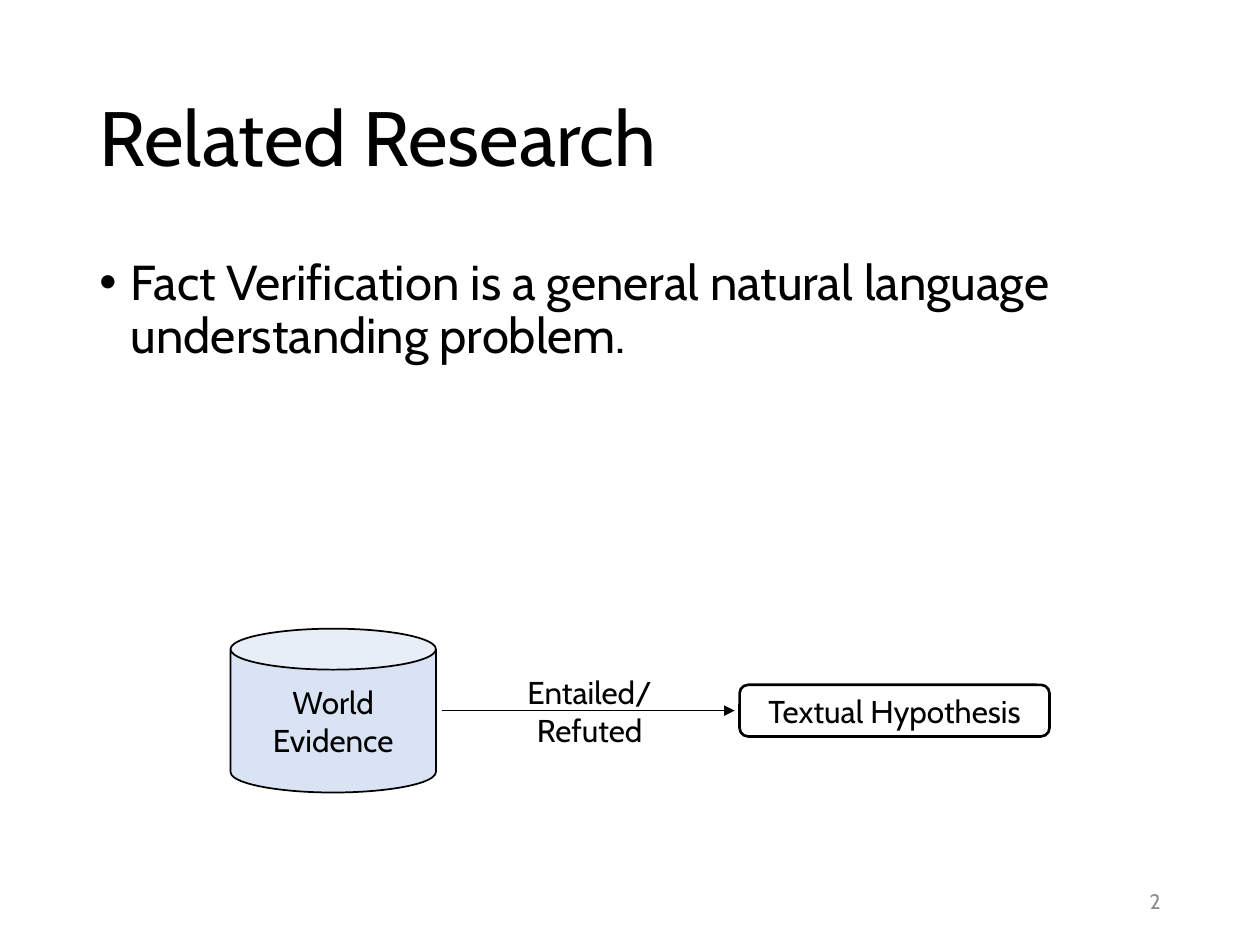
from lxml.etree import SubElement
from pptx import Presentation
from pptx.dml.color import RGBColor
from pptx.enum.shapes import MSO_CONNECTOR, MSO_SHAPE
from pptx.enum.text import MSO_ANCHOR, MSO_AUTO_SIZE, PP_ALIGN
from pptx.oxml.ns import qn
from pptx.util import Inches, Pt

FONT = "Cabin"
COLORS = {"ink": "000000", "evidence": "DAE3F3", "number": "8C8C8C"}


def color(name):
    return RGBColor.from_string(COLORS[name])


def add_bullet(paragraph, indent):
    properties = paragraph._p.get_or_add_pPr()
    properties.set("marL", str(indent))
    properties.set("indent", str(-indent))
    SubElement(properties, qn("a:buFont"), typeface="Arial")
    SubElement(properties, qn("a:buChar"), char="•")


def write_text(shape, text, size=18, ink="ink", align=PP_ALIGN.CENTER,
               anchor=MSO_ANCHOR.MIDDLE, line_spacing=None, bullet=False):
    """Write one paragraph for each line of text."""
    frame = shape.text_frame
    frame.word_wrap = True
    frame.auto_size = MSO_AUTO_SIZE.NONE
    frame.vertical_anchor = anchor
    frame.text = text
    for paragraph in frame.paragraphs:
        paragraph.alignment = align
        if line_spacing:
            paragraph.line_spacing = line_spacing
        if bullet:
            add_bullet(paragraph, Inches(0.25))
        for run in paragraph.runs:
            run.font.name = FONT
            run.font.size = Pt(size)
            run.font.color.rgb = color(ink)


def add_title(slide, text, left, top, width, height):
    title = slide.shapes.title
    title.left, title.top = Inches(left), Inches(top)
    title.width, title.height = Inches(width), Inches(height)
    write_text(title, text, size=44, align=PP_ALIGN.LEFT, line_spacing=0.9)


def add_text(slide, text, left, top, width, height, **text_format):
    box = slide.shapes.add_textbox(
        Inches(left), Inches(top), Inches(width), Inches(height))
    write_text(box, text, **text_format)


def add_node(slide, kind, text, left, top, width, height, line_width, fill=None):
    node = slide.shapes.add_shape(
        kind, Inches(left), Inches(top), Inches(width), Inches(height))
    node.shadow.inherit = False
    if fill:
        node.fill.solid()
        node.fill.fore_color.rgb = color(fill)
    else:
        node.fill.background()
    node.line.color.rgb = color("ink")
    node.line.width = Pt(line_width)
    write_text(node, text)


def add_arrow(slide, start, end, y):
    arrow = slide.shapes.add_connector(
        MSO_CONNECTOR.STRAIGHT, Inches(start), Inches(y), Inches(end), Inches(y))
    arrow.line.color.rgb = color("ink")
    arrow.line.width = Pt(0.5)
    SubElement(arrow.line._get_or_add_ln(), qn("a:tailEnd"), type="triangle")
    SubElement(arrow._element.spPr, qn("a:effectLst"))


def main():
    presentation = Presentation()
    presentation.slide_width = Inches(10)
    presentation.slide_height = Inches(7.5)
    slide = presentation.slides.add_slide(presentation.slide_layouts[5])

    # Title and statement
    add_title(slide, "Related Research", 0.69, 0.4, 8.62, 1.45)
    add_text(slide, "Fact Verification is a general natural language "
             "understanding problem.", 0.69, 2, 8.62, 4.76, size=28,
             align=PP_ALIGN.LEFT, anchor=MSO_ANCHOR.TOP,
             line_spacing=0.9, bullet=True)

    # Evidence, its verdict and the hypothesis, on one axis
    axis = 5.64
    add_node(slide, MSO_SHAPE.CAN, "World\nEvidence",
             1.83, axis - 1.3 / 2, 1.63, 1.3, line_width=1, fill="evidence")
    add_node(slide, MSO_SHAPE.ROUNDED_RECTANGLE, "Textual Hypothesis",
             5.87, axis - 0.41 / 2, 2.46, 0.41, line_width=1.5)
    add_text(slide, "Entailed/\nRefuted", 3.59, axis - 0.7 / 2, 2.18, 0.7,
             anchor=MSO_ANCHOR.TOP)
    add_arrow(slide, 3.51, 5.83, axis)

    # Slide number
    add_text(slide, "2", 7.06, 6.95, 2.25, 0.4, size=12, ink="number",
             align=PP_ALIGN.RIGHT)

    presentation.save("out.pptx")


if __name__ == "__main__":
    main()
